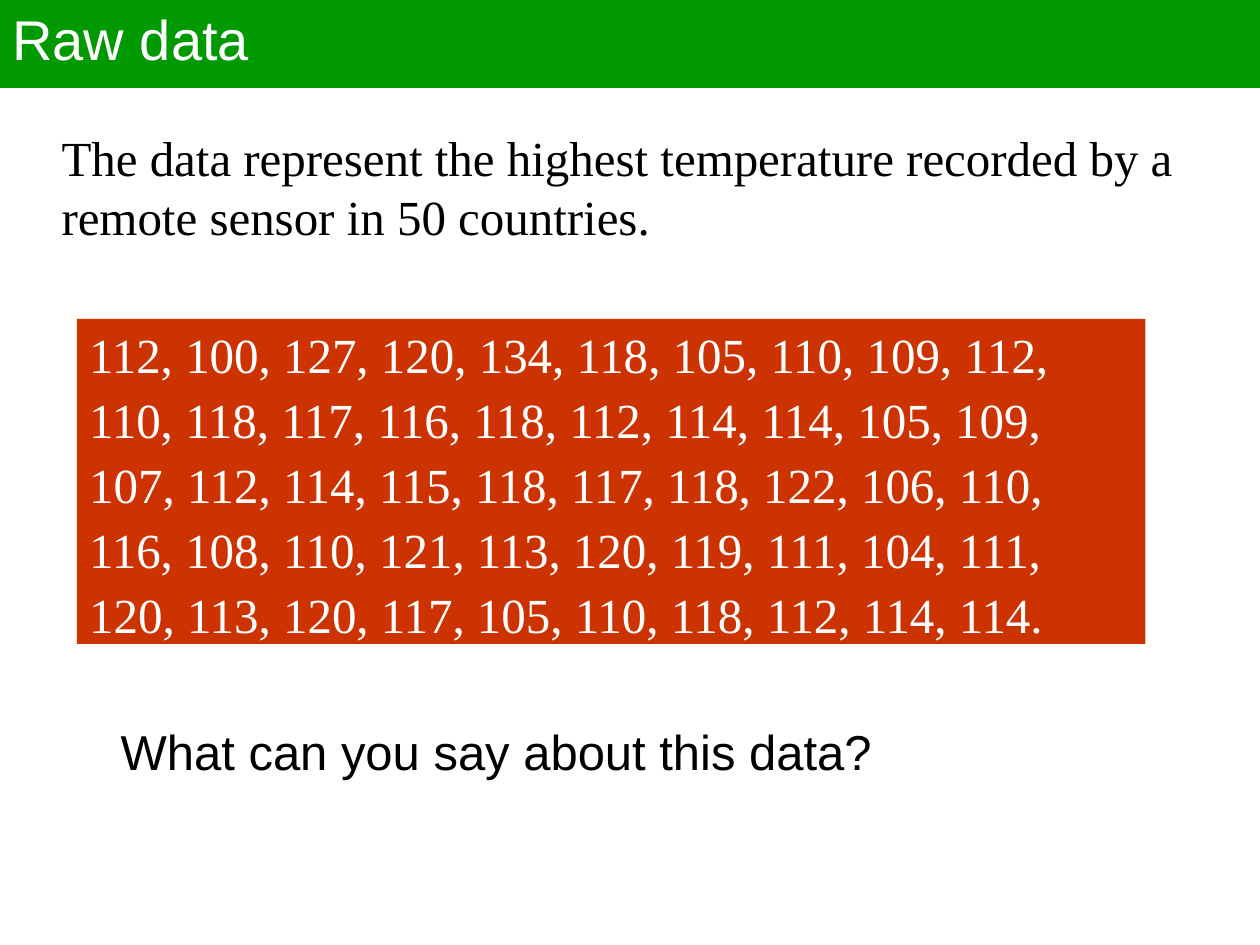
from dataclasses import dataclass

from pptx import Presentation
from pptx.dml.color import RGBColor
from pptx.enum.shapes import MSO_SHAPE
from pptx.enum.text import MSO_ANCHOR, PP_ALIGN
from pptx.util import Inches, Pt

RECTANGLE = MSO_SHAPE.RECTANGLE
TOP, MIDDLE = MSO_ANCHOR.TOP, MSO_ANCHOR.MIDDLE
LEFT = PP_ALIGN.LEFT


@dataclass(frozen=True)
class Theme:
    green: RGBColor = RGBColor(0x00, 0x99, 0x00)
    red: RGBColor = RGBColor(0xCC, 0x33, 0x00)
    white: RGBColor = RGBColor(0xFF, 0xFF, 0xFF)
    black: RGBColor = RGBColor(0x00, 0x00, 0x00)
    sans: str = "Arial"
    serif: str = "Times New Roman"
    title_size: Pt = Pt(32)
    body_size: Pt = Pt(28)
    row_gap: Pt = Pt(6.8)
    tight: float = 0.9


THEME = Theme()

TEMPERATURE_ROWS = [
    "112, 100, 127, 120, 134, 118, 105, 110, 109, 112,",
    "110, 118, 117, 116, 118, 112, 114, 114, 105, 109,",
    "107, 112, 114, 115, 118, 117, 118, 122, 106, 110,",
    "116, 108, 110, 121, 113, 120, 119, 111, 104, 111,",
    "120, 113, 120, 117, 105, 110, 118, 112, 114, 114.",
]


def write_text(shape, lines, font_name, size, color, spacing=THEME.tight,
               anchor=TOP, inset_top=Inches(0.1)):
    text_frame = shape.text_frame
    text_frame.word_wrap = True
    text_frame.vertical_anchor = anchor
    text_frame.margin_top = inset_top
    text_frame.text = "\n".join(lines)
    for index, paragraph in enumerate(text_frame.paragraphs):
        paragraph.alignment = LEFT
        paragraph.line_spacing = spacing
        paragraph.space_before = THEME.row_gap if index else Pt(0)
        for run in paragraph.runs:
            run.font.name = font_name
            run.font.size = size
            run.font.color.rgb = color


def add_panel(slide, box, color):
    panel = slide.shapes.add_shape(RECTANGLE, *box)
    panel.shadow.inherit = False
    panel.fill.solid()
    panel.fill.fore_color.rgb = color
    panel.line.fill.background()
    return panel


def add_title_bar(slide, box, title):
    bar = add_panel(slide, box, THEME.green)
    bar.line.color.rgb = THEME.green
    bar.line.width = Pt(0.75)
    write_text(bar, [title], THEME.sans, THEME.title_size, THEME.white,
               anchor=MIDDLE, inset_top=Inches(0.05))


def add_data_panel(slide, box, rows):
    panel = add_panel(slide, box, THEME.red)
    write_text(panel, rows, THEME.serif, THEME.body_size, THEME.white)


def add_statement(slide, box, text, font_name, spacing):
    statement = slide.shapes.add_textbox(*box)
    write_text(statement, [text], font_name, THEME.body_size, THEME.black, spacing)


def inches_box(left, top, width, height):
    return [Inches(length) for length in (left, top, width, height)]


def main():
    presentation = Presentation()
    presentation.slide_width = Inches(10)
    presentation.slide_height = Inches(7.5)
    slide = presentation.slides.add_slide(presentation.slide_layouts[6])

    add_data_panel(slide, inches_box(0.61, 2.53, 8.48, 2.58), TEMPERATURE_ROWS)
    add_statement(slide, inches_box(0.86, 5.68, 8.28, 0.52),
                  "What can you say about this data?", THEME.sans, THEME.tight)
    add_statement(slide, inches_box(0.39, 0.91, 9.1, 1.04),
                  "The data represent the highest temperature recorded by a "
                  "remote sensor in 50 countries.", THEME.serif, 1.0)
    add_title_bar(slide, inches_box(0, -0.02, 10, 0.71), "Raw data")

    presentation.save("out.pptx")


if __name__ == "__main__":
    main()
